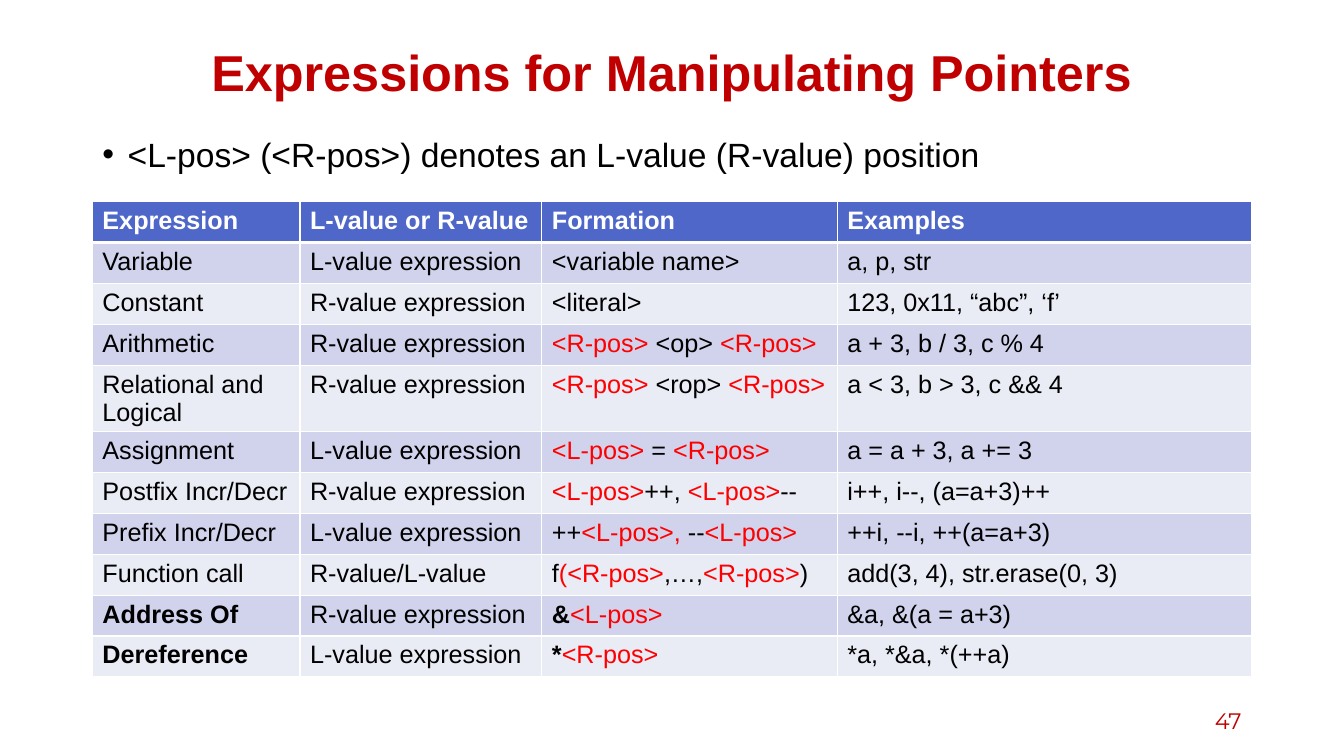
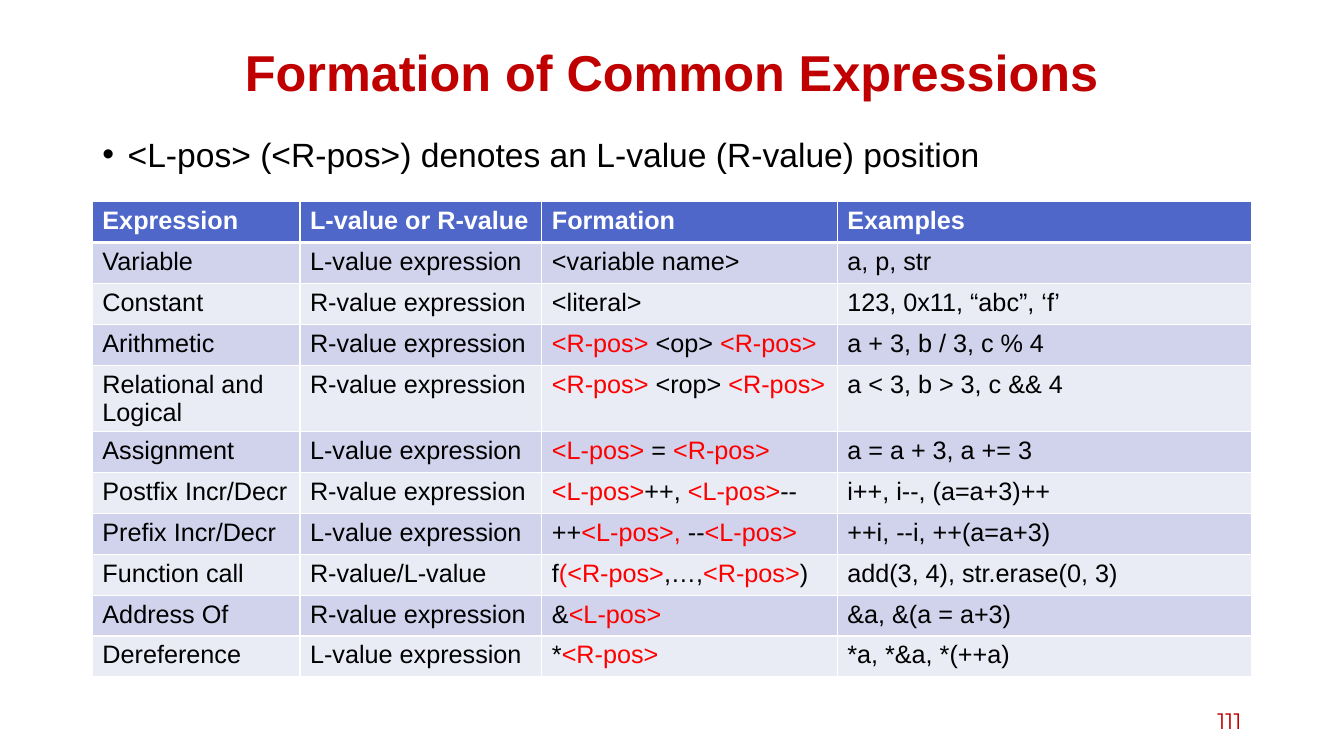
from pptx import Presentation
from pptx import util as u
from pptx.dml import color
from pptx.enum import text as tx
from pptx.oxml import parse_xml
from pptx.oxml import ns

Pt = u.Pt
RED, MARK, BLACK, WHITE = "C00000", "FF0000", "000000", "FFFFFF"
HEAD, BANDS = "4E67C8", ("D0D3EB", "E9EBF5")

# Regions: left, top, width, height
TITLE = (66, 28.8, 828, 50.4)
BODY = (66, 95, 828, 396.7)
GRID = (66, 144, 828, 321.2)
PAGE = (678, 500.4, 216, 28.8)
COLS = (148.3, 172.8, 211, 295.9)

NOTE = "<L-pos> (<R-pos>) denotes an L-value (R-value) position"
HEADS = ("Expression", "L-value or R-value", "Formation", "Examples")
# Bars in a text switch between plain and marked runs
ROWS = (
    ("Variable", "L-value expression", "<variable name>", "a, p, str"),
    ("Constant", "R-value expression", "<literal>", "123, 0x11, “abc”, ‘f’"),
    ("Arithmetic", "R-value expression", "|<R-pos> |<op> |<R-pos>",
     "a + 3, b / 3, c % 4"),
    ("Relational and Logical", "R-value expression",
     "|<R-pos> |<rop> |<R-pos>", "a < 3, b > 3, c && 4"),
    ("Assignment", "L-value expression", "|<L-pos> |= |<R-pos>",
     "a = a + 3, a += 3"),
    ("Postfix Incr/Decr", "R-value expression", "|<L-pos>|++, |<L-pos>|--",
     "i++, i--, (a=a+3)++"),
    ("Prefix Incr/Decr", "L-value expression", "++|<L-pos>, |--|<L-pos>",
     "++i, --i, ++(a=a+3)"),
    ("Function call", "R-value/L-value", "f|(<R-pos>|,…,|<R-pos>|)",
     "add(3, 4), str.erase(0, 3)"),
    ("Address Of", "R-value expression", "&|<L-pos>", "&a, &(a = a+3)"),
    ("Dereference", "L-value expression", "*|<R-pos>", "*a, *&a, *(++a)"),
)


def rgb(hexa):
    return color.RGBColor.from_string(hexa)


def write(frame, words, size=18, face="Arial", ink=BLACK, bold=False,
          align=None, lead=None, before=None):
    """Fill a frame with one paragraph; marked runs are never bold."""
    para = frame.paragraphs[0]
    para.alignment = align
    if lead:
        para.line_spacing = lead
    if before is not None:
        para.space_before = Pt(before)
    for n, part in enumerate(words.split("|")):
        if not part:
            continue
        marked = n % 2 == 1
        run = para.add_run()
        run.text = part
        font = run.font
        font.name, font.size = face, Pt(size)
        font.bold = bold and not marked
        font.color.rgb = rgb(MARK if marked else ink)
    return para


def place(shape, box):
    shape.left, shape.top, shape.width, shape.height = map(Pt, box)
    frame = shape.text_frame
    frame.word_wrap = True
    frame.auto_size = tx.MSO_AUTO_SIZE.NONE
    return frame


def edge(cell, top, low):
    """Draw white cell borders with the given top and bottom widths."""
    props = cell._tc.get_or_add_tcPr()
    for side, wide in (("L", 1), ("R", 1), ("T", top), ("B", low)):
        props.append(parse_xml(
            f'<a:ln{side} {ns.nsdecls("a")} w="{Pt(wide)}"><a:solidFill>'
            f'<a:srgbClr val="{WHITE}"/></a:solidFill></a:ln{side}>'))


def title(slide, box, words):
    frame = place(slide.shapes.title, box)
    frame.vertical_anchor = tx.MSO_ANCHOR.MIDDLE
    write(frame, words, size=36, ink=RED, bold=True,
          align=tx.PP_ALIGN.CENTER, lead=0.9)


def body(slide, box, words):
    frame = place(slide.placeholders[1], box)
    para = write(frame, words, size=24, lead=0.9, before=10)
    props = para._p.get_or_add_pPr()
    props.set("marL", str(Pt(18)))
    props.set("indent", str(-Pt(18)))


def page(slide, box, num):
    frame = place(slide.shapes.add_textbox(0, 0, 0, 0), box)
    frame.vertical_anchor = tx.MSO_ANCHOR.MIDDLE
    write(frame, str(num), size=16, face="Montserrat", ink=RED,
          align=tx.PP_ALIGN.RIGHT)


def grid(slide, box, strong):
    """Draw the table; rows named in strong get bold operators."""
    data = (HEADS,) + ROWS
    table = slide.shapes.add_table(len(data), len(COLS),
                                   *map(Pt, box)).table
    for col, wide in zip(table.columns, COLS):
        col.width = Pt(wide)
    for r, row in enumerate(data):
        table.rows[r].height = Pt(box[3] / len(data))
        for c, words in enumerate(row):
            cell = table.cell(r, c)
            edge(cell, 3 if r == 1 else 1, 3 if r == 0 else 1)
            cell.fill.solid()
            cell.fill.fore_color.rgb = rgb(BANDS[(r - 1) % 2] if r else HEAD)
            bold = r == 0 or (row[0] in strong and c in (0, 2))
            write(cell.text_frame, words, ink=BLACK if r else WHITE,
                  bold=bold)


def build(deck, head, num, strong=()):
    slide = deck.slides.add_slide(deck.slide_layouts[1])
    title(slide, TITLE, head)
    page(slide, PAGE, num)
    body(slide, BODY, NOTE)
    grid(slide, GRID, strong)


def main():
    deck = Presentation()
    deck.slide_width, deck.slide_height = Pt(960), Pt(540)
    build(deck, "Expressions for Manipulating Pointers", 47,
          strong=("Address Of", "Dereference"))
    build(deck, "Formation of Common Expressions", 111)
    deck.save("out.pptx")


if __name__ == "__main__":
    main()
